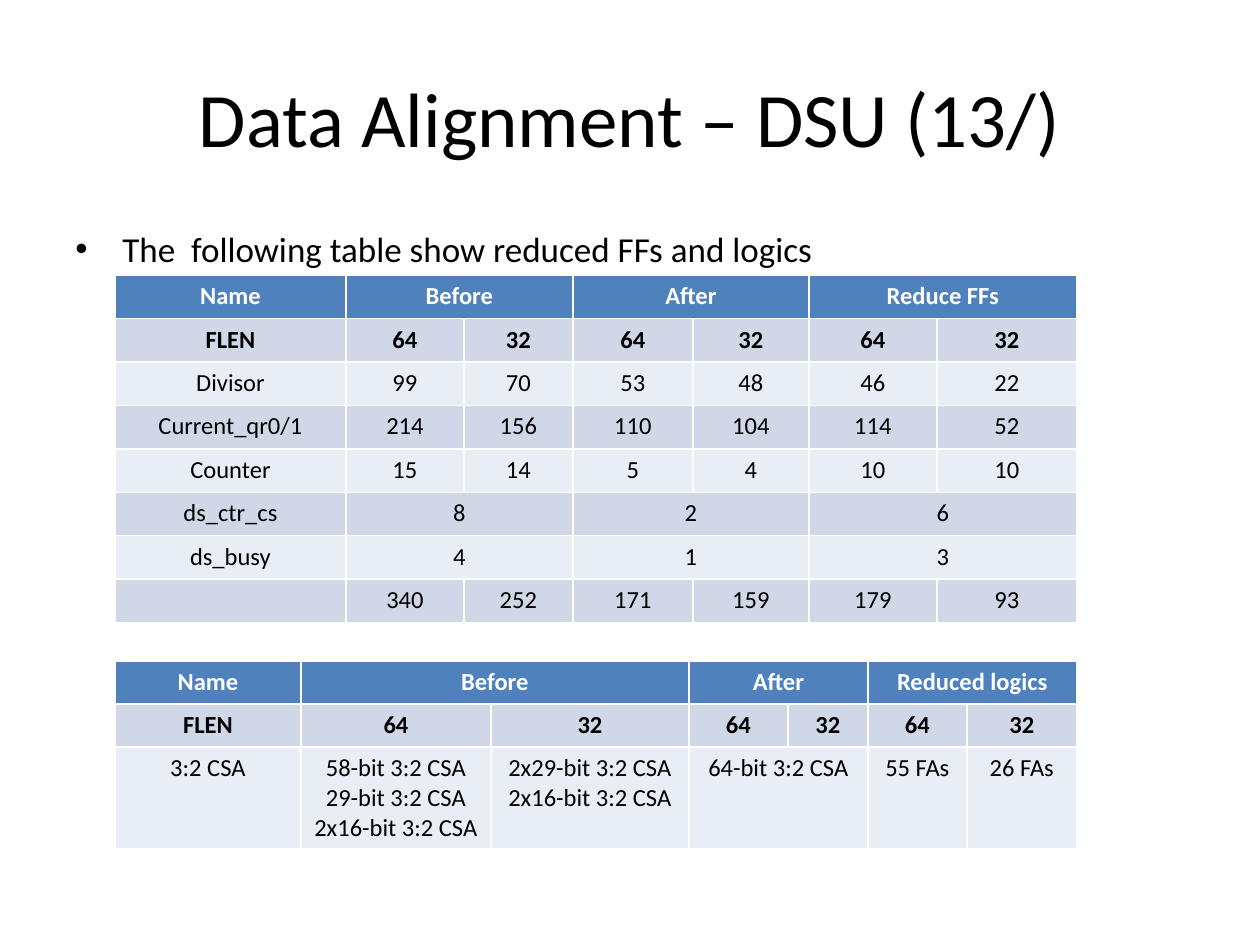
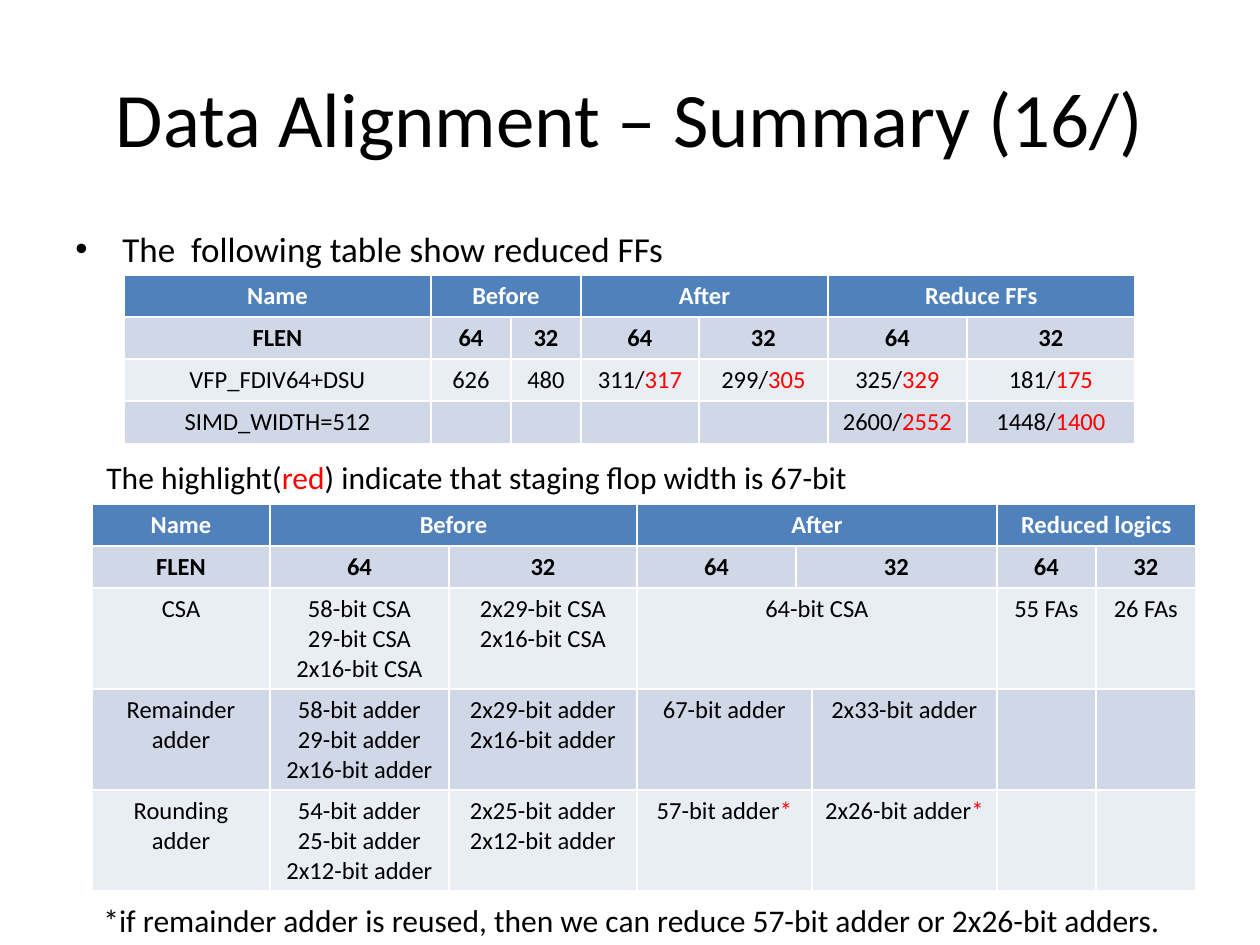
from dataclasses import dataclass

from lxml.etree import SubElement
from pptx import Presentation
from pptx.dml.color import RGBColor
from pptx.enum.text import MSO_ANCHOR, PP_ALIGN
from pptx.oxml.ns import qn
from pptx.util import Pt


@dataclass(frozen=True)
class Theme:
    font: str = "Calibri"
    ink: str = "000000"
    mark: str = "FF0000"
    pale: str = "FFFFFF"
    head: str = "4F81BD"
    bands: tuple = ("E9EDF4", "D0D8E8")
    title: int = 44
    lead: int = 20
    note: int = 18
    cell: int = 14


THEME = Theme()
WIDE, HIGH = 1260, 945
FLEN = ["FLEN"] + ["64", "32"] * 3


def px(size):
    return round(size * 914400 / 126)


def place(shape, box):
    shape.left, shape.top, shape.width, shape.height = map(px, box)


def write(par, text, size, color=THEME.ink, bold=False):
    for index, part in enumerate(text.split("|")):
        if not part:
            continue
        run = par.add_run()
        run.text = part
        font = run.font
        font.name, font.size, font.bold = THEME.font, Pt(size), bold
        font.color.rgb = RGBColor.from_string(THEME.mark if index % 2 else color)


def head(slide, text):
    title = slide.shapes.title
    place(title, (63, 38, 1134, 157))
    frame = title.text_frame
    frame.vertical_anchor = MSO_ANCHOR.MIDDLE
    par = frame.paragraphs[0]
    par.alignment = PP_ALIGN.CENTER
    write(par, text, THEME.title)


def label(slide, box, text, size, wrap=False):
    frame = slide.shapes.add_textbox(*map(px, box)).text_frame
    frame.word_wrap = wrap
    par = frame.paragraphs[0]
    write(par, text, size)
    return par


def bullet(slide, text):
    par = label(slide, (63, 221, 1134, 50), text, THEME.lead, True)
    props = par._p.get_or_add_pPr()
    props.set("marL", str(px(47)))
    props.set("indent", str(-px(47)))
    SubElement(props, qn("a:buFont"), typeface="Arial")
    SubElement(props, qn("a:buChar"), char="•")


def fill_cell(cell, text, row):
    cell.fill.solid()
    shade = THEME.bands[row % 2] if row else THEME.head
    cell.fill.fore_color.rgb = RGBColor.from_string(shade)
    frame = cell.text_frame
    for index, line in enumerate((text or "").split("\n")):
        par = frame.add_paragraph() if index else frame.paragraphs[0]
        par.alignment = PP_ALIGN.CENTER
        write(par, line, THEME.cell, THEME.ink if row else THEME.pale, row < 2)
        if not line:
            SubElement(par._p, qn("a:endParaRPr"), sz=str(THEME.cell * 100))


def grid(slide, spot, cols, rows, data):
    box = (*spot, sum(cols), sum(rows))
    table = slide.shapes.add_table(len(rows), len(cols), *map(px, box)).table
    for col, width in zip(table.columns, cols):
        col.width = px(width)
    for row, height in zip(table.rows, rows):
        row.height = px(height)
    for r, line in enumerate(data):
        for c, text in enumerate(line):
            fill_cell(table.cell(r, c), text, r)
        for c, text in enumerate(line):
            end = c
            while text is not None and end + 1 < len(line) and line[end + 1] is None:
                end += 1
            if end > c:
                table.cell(r, c).merge(table.cell(r, end))


def start(deck, title, lead):
    slide = deck.slides.add_slide(deck.slide_layouts[5])
    head(slide, title)
    bullet(slide, lead)
    return slide


def unit(deck):
    slide = start(deck, "Data Alignment – DSU (13/)",
                  "The  following table show reduced FFs and logics")
    grid(slide, (115, 275), (231, 118, 109, 120, 116, 128, 140), [43.5] * 8, [
        ["Name", "Before", None, "After", None, "Reduce FFs", None],
        FLEN,
        ["Divisor", "99", "70", "53", "48", "46", "22"],
        ["Current_qr0/1", "214", "156", "110", "104", "114", "52"],
        ["Counter", "15", "14", "5", "4", "10", "10"],
        ["ds_ctr_cs", "8", None, "2", None, "6", None],
        ["ds_busy", "4", None, "1", None, "3", None],
        ["", "340", "252", "171", "159", "179", "93"],
    ])
    grid(slide, (115, 661), (186, 190, 198, 99, 80, 99, 110), (43, 43, 102), [
        ["Name", "Before", None, "After", None, "Reduced logics", None],
        FLEN,
        ["3:2 CSA", "58-bit 3:2 CSA\n29-bit 3:2 CSA\n2x16-bit 3:2 CSA",
         "2x29-bit 3:2 CSA\n2x16-bit 3:2 CSA", "64-bit 3:2 CSA", None,
         "55 FAs", "26 FAs"],
    ])


def recap(deck):
    slide = start(deck, "Data Alignment – Summary (16/)",
                  "The  following table show reduced FFs")
    grid(slide, (124, 275), (307, 80, 70, 118, 129, 139, 168), [42] * 4, [
        ["Name", "Before", None, "After", None, "Reduce FFs", None],
        FLEN,
        ["VFP_FDIV64+DSU", "626", "480", "311/|317", "299/|305",
         "325/|329", "181/|175"],
        ["SIMD_WIDTH=512", "", "", "", "", "2600/|2552", "1448/|1400"],
    ])
    label(slide, (94, 452, 775, 50),
          "The highlight(|red|) indicate that staging flop width is 67-bit",
          THEME.note)
    grid(slide, (92, 504), (178, 179, 188, 159, 16, 185, 99, 100),
         [42] * 2 + [101] * 3, [
        ["Name", "Before", None, "After", None, None, "Reduced logics", None],
        FLEN[:5] + [None] + FLEN[5:],
        ["CSA", "58-bit CSA\n29-bit CSA\n2x16-bit CSA",
         "2x29-bit CSA\n2x16-bit CSA", "64-bit CSA", None, None,
         "55 FAs", "26 FAs"],
        ["Remainder adder", "58-bit adder\n29-bit adder\n2x16-bit adder",
         "2x29-bit adder\n2x16-bit adder", "67-bit adder", None,
         "2x33-bit adder", "", ""],
        ["Rounding adder", "54-bit adder\n25-bit adder\n2x12-bit adder",
         "2x25-bit adder\n2x12-bit adder", "57-bit adder|*", None,
         "2x26-bit adder|*", "", ""],
    ])
    label(slide, (91, 895, 1104, 50),
          "*if remainder adder is reused, then we can reduce "
          "57-bit adder or 2x26-bit adders.", THEME.note)


def main():
    deck = Presentation()
    deck.slide_width, deck.slide_height = px(WIDE), px(HIGH)
    unit(deck)
    recap(deck)
    deck.save("out.pptx")


if __name__ == "__main__":
    main()
